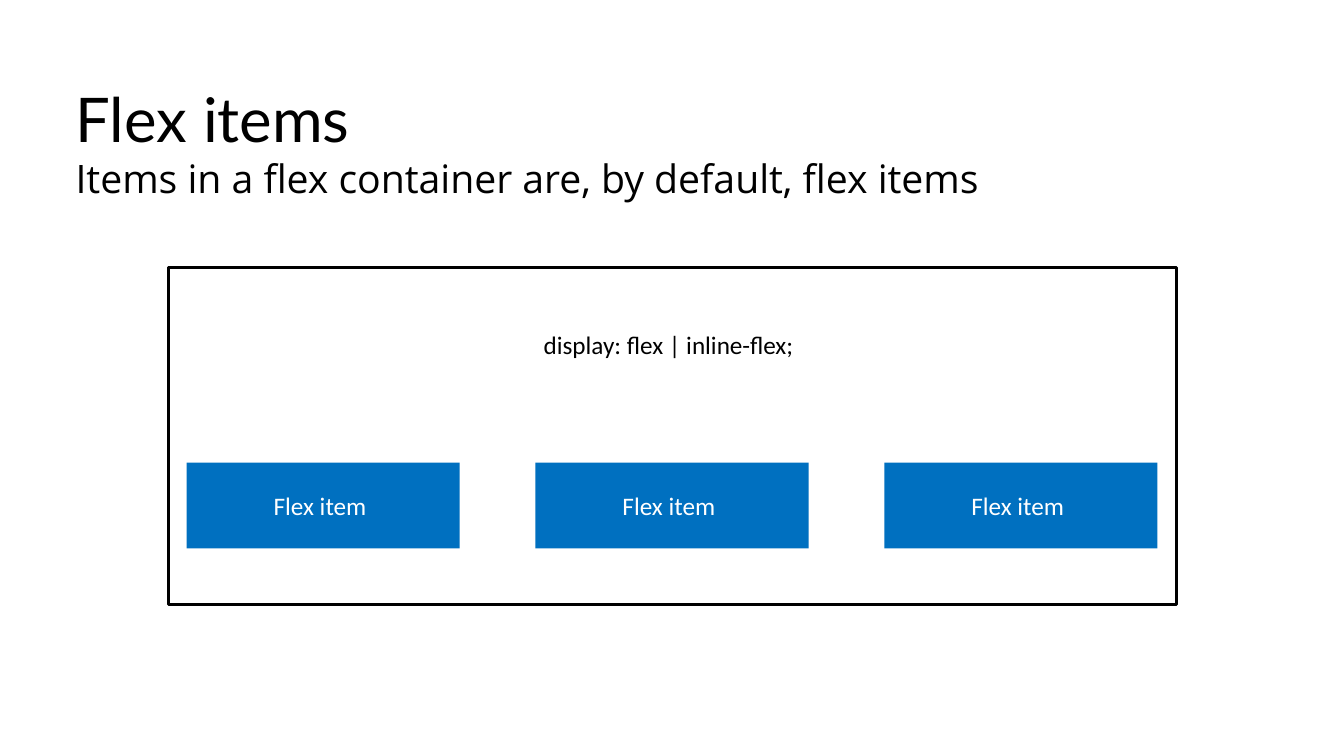
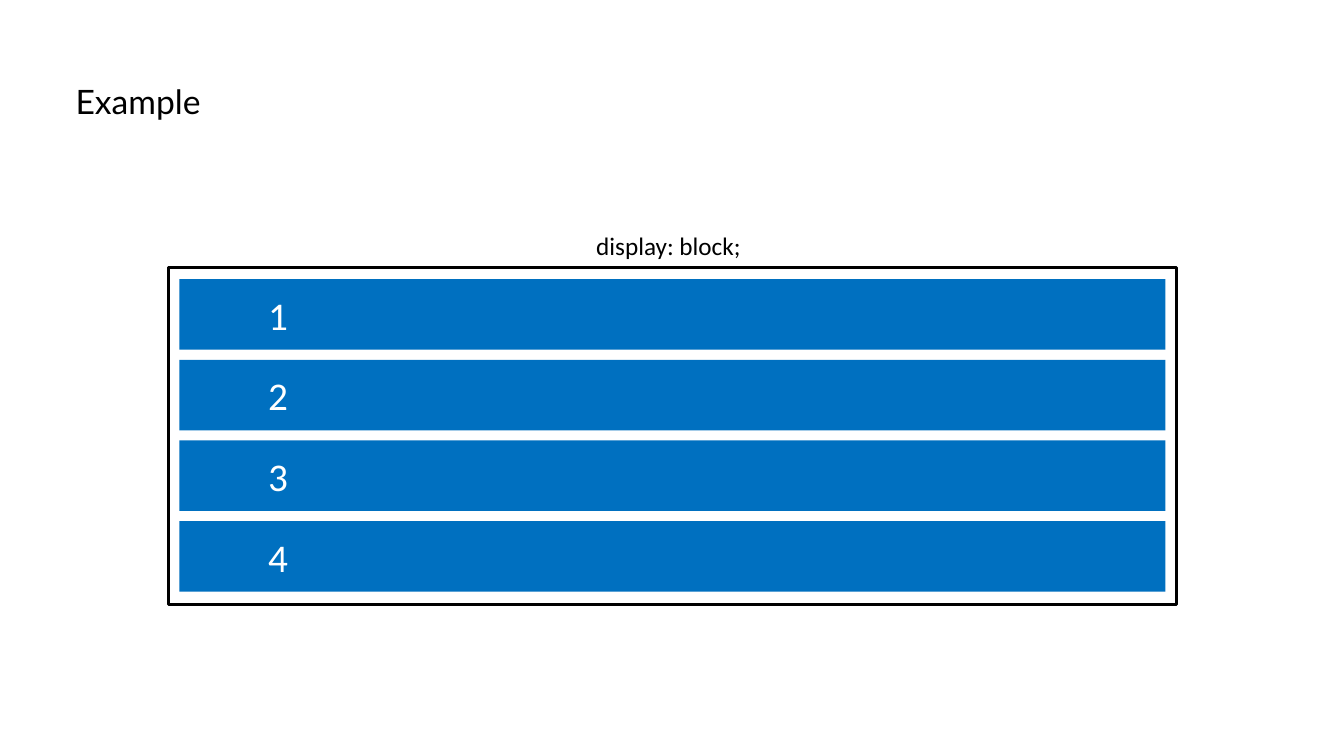
import pptx
import pptx.util
import pptx.dml.color
import pptx.enum.shapes
import pptx.enum.text

Inches, Pt = pptx.util.Inches, pptx.util.Pt
ALIGN = pptx.enum.text.PP_ALIGN
ANCHOR = pptx.enum.text.MSO_ANCHOR

BLACK, WHITE, BLUE = "000000", "FFFFFF", "0070C0"
TITLE_FONT, SUBTITLE_FONT, BODY_FONT = "Lato", "Open Sans", "Calibri"
FRAME_X, FRAME_Y, FRAME_W, FRAME_H = 1.67, 2.65, 10, 3.35


def rgb(value):
    return pptx.dml.color.RGBColor.from_string(value)


class Deck:
    def __init__(self):
        self.prs = pptx.Presentation()
        self.prs.slide_width = Inches(13.33)
        self.prs.slide_height = Inches(7.5)
        self.s = None

    def slide(self):
        self.s = self.prs.slides.add_slide(self.prs.slide_layouts[6])

    def style(self, p, text, size, color, font=BODY_FONT, align=ALIGN.LEFT):
        p.text = text
        p.alignment = align
        p.font.name = font
        p.font.size = Pt(size)
        p.font.color.rgb = rgb(color)

    def text_box(self, x, y, w, h):
        tf = self.s.shapes.add_textbox(
            Inches(x), Inches(y), Inches(w), Inches(h)).text_frame
        tf.word_wrap = True
        return tf

    def title(self, text, size, subtitle=None):
        tf = self.text_box(0.75, 0.75, 11.83, 1.5)
        tf.margin_left = 0
        self.style(tf.paragraphs[0], text, size, BLACK, TITLE_FONT)
        if subtitle:
            p = tf.add_paragraph()
            self.style(p, subtitle, 28, BLACK, SUBTITLE_FONT)

    def caption(self, text, y):
        """Centre a line of text across the frame."""
        tf = self.text_box(FRAME_X, y, FRAME_W - 0.08, 0.4)
        self.style(tf.paragraphs[0], text, 18, BLACK, align=ALIGN.CENTER)

    def rect(self, x, y, w, h):
        shape = self.s.shapes.add_shape(
            pptx.enum.shapes.MSO_SHAPE.RECTANGLE,
            Inches(x), Inches(y), Inches(w), Inches(h))
        shape.shadow.inherit = False
        shape.fill.solid()
        return shape

    def frame(self):
        shape = self.rect(FRAME_X, FRAME_Y, FRAME_W, FRAME_H)
        shape.fill.fore_color.rgb = rgb(WHITE)
        shape.line.color.rgb = rgb(BLACK)
        shape.line.width = Pt(2.25)

    def block(self, x, y, w, h, text, size, align, left=0.1, right=0.1):
        shape = self.rect(x, y, w, h)
        shape.fill.fore_color.rgb = rgb(BLUE)
        shape.line.fill.background()
        tf = shape.text_frame
        tf.vertical_anchor = ANCHOR.MIDDLE
        tf.margin_left, tf.margin_right = Inches(left), Inches(right)
        self.style(tf.paragraphs[0], text, size, WHITE, align=align)


def flex_items(deck):
    deck.slide()
    deck.title("Flex items", 44,
               "Items in a flex container are, by default, flex items")
    deck.frame()
    deck.caption("display: flex | inline-flex;", 3.22)
    for i in range(3):
        deck.block(1.85 + i * 3.46, 4.59, 2.71, 0.85,
                   "Flex item", 18, ALIGN.CENTER, right=0.16)


def block_example(deck):
    deck.slide()
    deck.title("Example", 24)
    deck.caption("display: block;", 2.24)
    deck.frame()
    for i in range(4):
        deck.block(1.78, 2.77 + i * 0.8, 9.78, 0.7,
                   str(i + 1), 28, ALIGN.LEFT, left=0.88)


def main():
    deck = Deck()
    flex_items(deck)
    block_example(deck)
    deck.prs.save("out.pptx")


if __name__ == "__main__":
    main()
